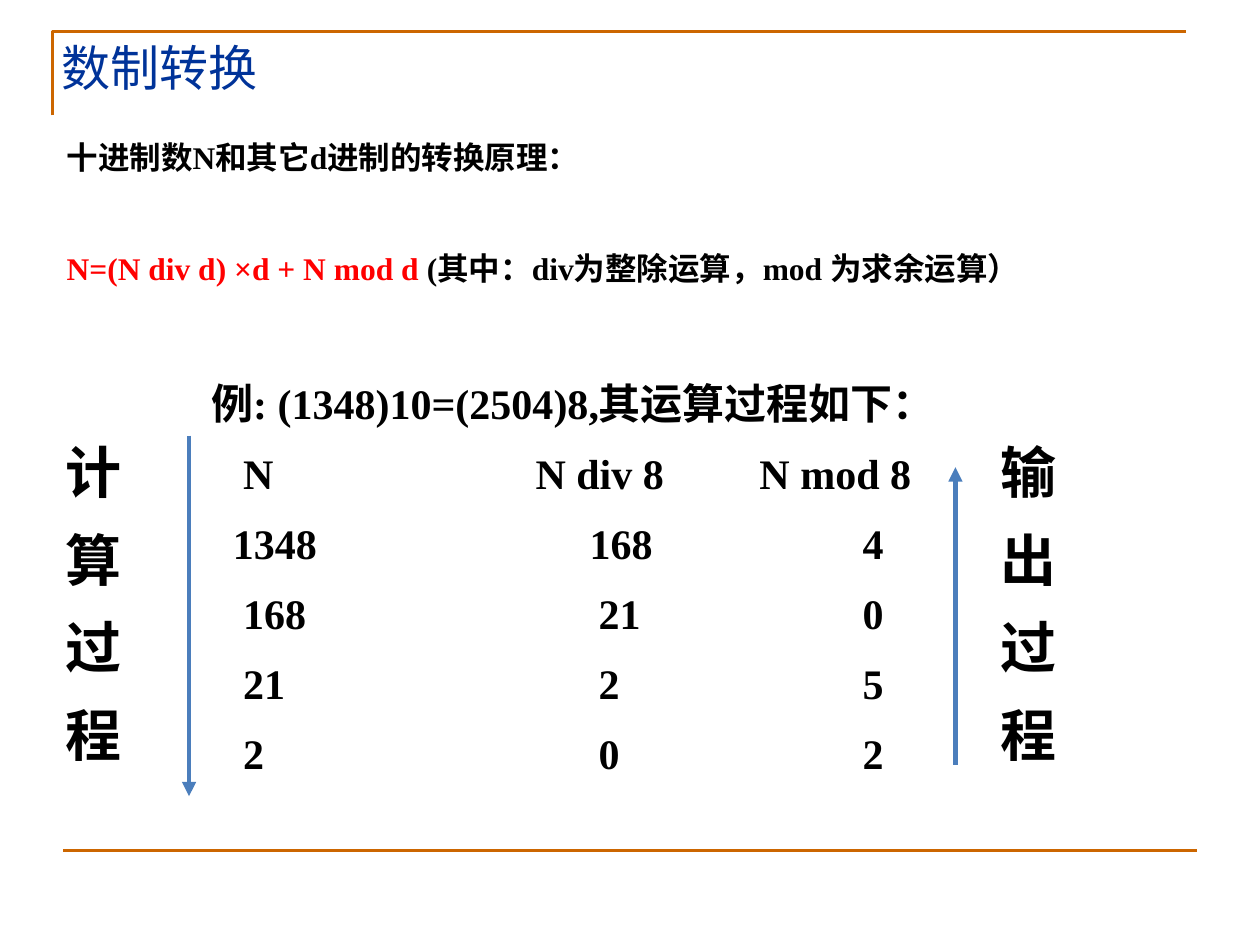
from lxml import etree
from pptx import Presentation
from pptx.dml.color import RGBColor
from pptx.enum.shapes import MSO_CONNECTOR
from pptx.enum.text import MSO_ANCHOR, MSO_AUTO_SIZE, PP_ALIGN
from pptx.oxml.ns import qn
from pptx.util import Pt

STRAIGHT = MSO_CONNECTOR.STRAIGHT
TOP, MIDDLE = MSO_ANCHOR.TOP, MSO_ANCHOR.MIDDLE
NO_FIT = MSO_AUTO_SIZE.NONE
LEFT = PP_ALIGN.LEFT

COLORS = {"frame": "CC6600", "arrow": "4B7EBC", "title": "003399",
          "text": "000000", "formula": "FF0000"}
SERIF, SANS, CJK = "Times New Roman", "Calibri", "Noto Sans CJK SC"


def rgb(name):
    return RGBColor.from_string(COLORS[name])


def add_run(p, text, size=18, font=SERIF, color="text", bold=True):
    r = p.add_run()
    r.text = text
    r.font.size, r.font.bold, r.font.name = Pt(size), bold, font
    r.font.color.rgb = rgb(color)
    etree.SubElement(r.font._element, qn("a:ea"), typeface=CJK)


class SlideBuilder:
    def __init__(self, slide):
        self.slide = slide
        self.shapes = slide.shapes

    def place(self, sp, x, y, w, h, margin=3.6, anchor=TOP):
        """Position a text shape and return its text frame."""
        sp.left, sp.top, sp.width, sp.height = Pt(x), Pt(y), Pt(w), Pt(h)
        tf = sp.text_frame
        tf.word_wrap, tf.auto_size, tf.vertical_anchor = True, NO_FIT, anchor
        tf.margin_left = tf.margin_right = Pt(margin)
        tf.margin_top = tf.margin_bottom = Pt(margin)
        return tf

    def paragraph(self, tf, runs, line, before=0, **fmt):
        """Add a paragraph of (text, color) runs without a bullet."""
        first = not tf.paragraphs[0].runs
        p = tf.paragraphs[0] if first else tf.add_paragraph()
        pPr = p._p.get_or_add_pPr()
        pPr.set("marL", "0")
        pPr.set("indent", "0")
        etree.SubElement(pPr, qn("a:buNone"))
        p.alignment, p.line_spacing = LEFT, Pt(line)
        p.space_before, p.space_after = Pt(0 if first else before), Pt(0)
        for text, color in runs:
            add_run(p, text, color=color, **fmt)

    def table(self, x, y, widths, row_height, rows):
        """Add an unfilled table; each row is (texts, left margins)."""
        frame = self.shapes.add_table(len(rows), len(widths), Pt(x), Pt(y),
                                      Pt(sum(widths)), Pt(row_height * len(rows)))
        table = frame.table
        table.first_row = table.horz_banding = False
        for column, width in zip(table.columns, widths):
            column.width = Pt(width)
        for row, (texts, margins) in zip(table.rows, rows):
            for cell, text, margin in zip(row.cells, texts, margins):
                cell.fill.background()
                cell.vertical_anchor = MIDDLE
                cell.margin_left = Pt(margin)
                cell.margin_right = cell.margin_top = cell.margin_bottom = 0
                self.paragraph(cell.text_frame, [(text, "text")], line=26, size=24)

    def polyline(self, points):
        (x, y), *rest = [(Pt(a), Pt(b)) for a, b in points]
        builder = self.shapes.build_freeform(x, y)
        builder.add_line_segments(rest, close=False)
        sp = builder.convert_to_shape()
        sp.shadow.inherit = False
        sp.fill.background()
        sp.line.color.rgb, sp.line.width = rgb("frame"), Pt(1.5)

    def line(self, x1, y1, x2, y2, color, width, arrow=False):
        cxn = self.shapes.add_connector(STRAIGHT, Pt(x1), Pt(y1), Pt(x2), Pt(y2))
        cxn.line.color.rgb, cxn.line.width = rgb(color), Pt(width)
        if arrow:
            etree.SubElement(cxn.line._get_or_add_ln(), qn("a:tailEnd"), type="triangle")
        etree.SubElement(cxn._element.spPr, qn("a:effectLst"))

    def side_label(self, text, x):
        """A narrow box that wraps to one character per line."""
        box = self.shapes.add_textbox(0, 0, 0, 0)
        tf = self.place(box, x, 235, 63, 204)
        tf.margin_left = tf.margin_right = Pt(5.5)
        self.paragraph(tf, [(text, "text")], line=50, size=32, font=CJK)


def main():
    prs = Presentation()
    prs.slide_width, prs.slide_height = Pt(720), Pt(540)
    s = SlideBuilder(prs.slides.add_slide(prs.slide_layouts[3]))
    title, principle, example = s.slide.placeholders

    # Frame lines
    s.polyline([(30, 66), (30, 18), (678, 18)])
    s.line(36, 486, 684, 486, "frame", 1.5)

    # Title
    tf = s.place(title, 35, 20, 423, 36, margin=0, anchor=MIDDLE)
    s.paragraph(tf, [("数制转换", "title")], line=34, size=28, font=SANS, bold=False)

    # Conversion principle
    tf = s.place(principle, 34.5, 77, 680, 93)
    s.paragraph(tf, [("十进制数N和其它d进制的转换原理：", "text")], line=20)
    s.paragraph(tf, [("N=(N div d) ×d + N mod d ", "formula"),
                     ("(其中：div为整除运算，mod 为求余运算）", "text")],
                line=20, before=43)

    # Worked example
    tf = s.place(example, 117, 215, 590, 36)
    s.paragraph(tf, [("例: (1348)10=(2504)8,其运算过程如下：", "text")], line=26, size=24)
    value_margins = (6, 36, 59)
    s.table(133, 252, (173, 128, 110), 40, [
        (("N", "N div 8", "N mod 8"), (6, 0, 0)),
        (("1348", "168", "4"), (0, 31, 59)),
        (("168", "21", "0"), value_margins),
        (("21", "2", "5"), value_margins),
        (("2", "0", "2"), value_margins),
    ])

    # Side labels and direction arrows
    s.side_label("计算过程", 32)
    s.side_label("输出过程", 566)
    s.line(108, 249, 108, 455, "arrow", 2.75, arrow=True)
    s.line(546, 437, 546, 267, "arrow", 2.75, arrow=True)

    prs.save("out.pptx")


if __name__ == "__main__":
    main()
